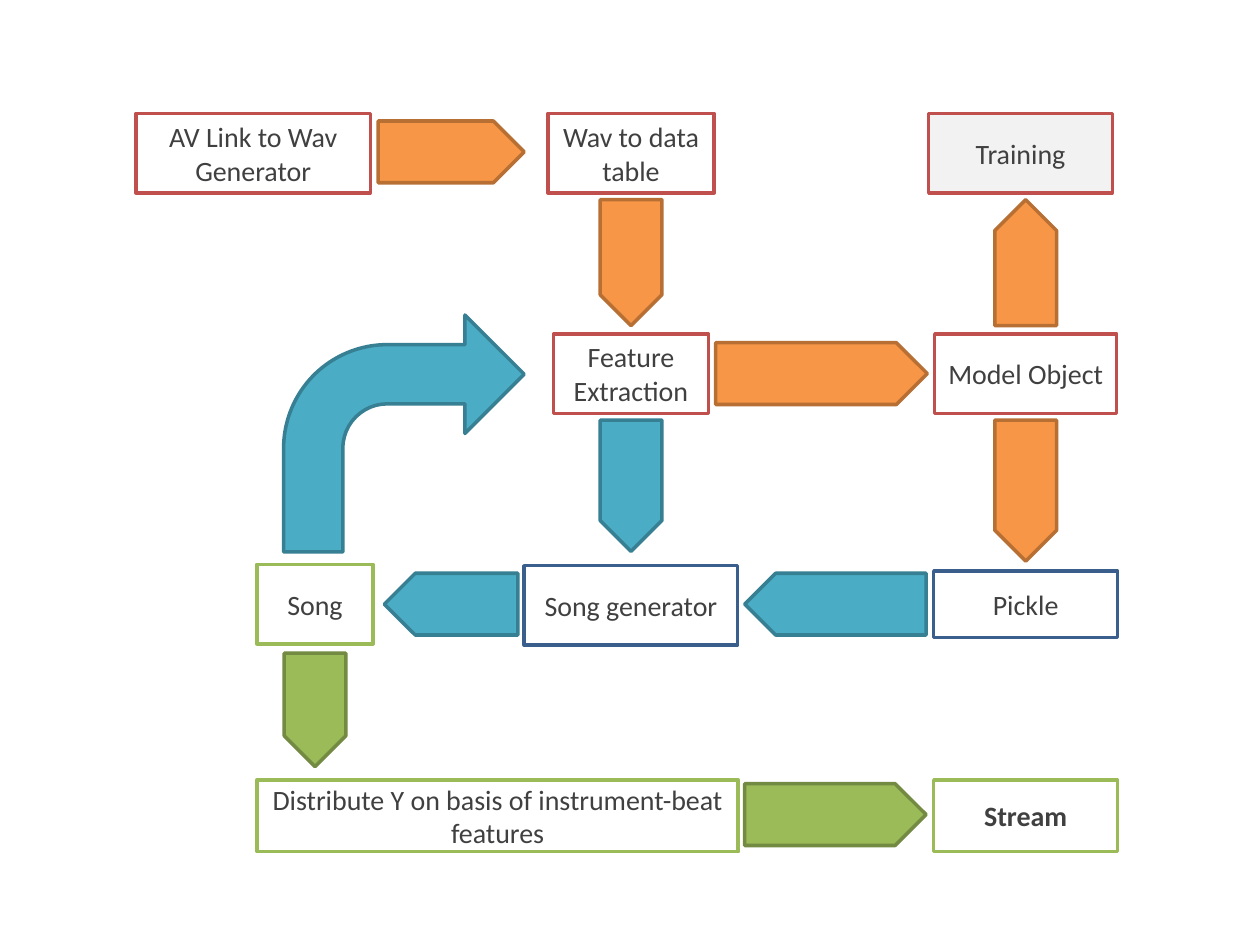
from pptx import Presentation
from pptx.dml.color import RGBColor
from pptx.enum.shapes import MSO_SHAPE
from pptx.enum.text import MSO_ANCHOR, PP_ALIGN
from pptx.util import Pt

RECTANGLE, PENTAGON, BENT_ARROW = MSO_SHAPE.RECTANGLE, MSO_SHAPE.PENTAGON, MSO_SHAPE.BENT_ARROW
MIDDLE, CENTER = MSO_ANCHOR.MIDDLE, PP_ALIGN.CENTER

WHITE = RGBColor(0xFF, 0xFF, 0xFF)
LIGHT_GRAY = RGBColor(0xF2, 0xF2, 0xF2)
DARK_GRAY = RGBColor(0x40, 0x40, 0x40)
RED = RGBColor(0xC0, 0x50, 0x4D)
NAVY = RGBColor(0x3A, 0x5F, 0x8C)
GREEN = RGBColor(0x9B, 0xBB, 0x59)
DARK_GREEN = RGBColor(0x73, 0x8A, 0x42)
ORANGE = RGBColor(0xF7, 0x96, 0x46)
DARK_ORANGE = RGBColor(0xB7, 0x6F, 0x34)
TEAL = RGBColor(0x4B, 0xAC, 0xC6)
DARK_TEAL = RGBColor(0x37, 0x7F, 0x92)

TRAIN = (ORANGE, DARK_ORANGE)
GENERATE = (TEAL, DARK_TEAL)
DELIVER = (GREEN, DARK_GREEN)

SONG_X, LEFT_GAP_X, MIDDLE_X, RIGHT_GAP_X, RIGHT_X = 180, 257.8, 360.6, 477.4, 586.1
INPUT_Y, FEATURE_Y, SONG_Y, STREAM_Y = 87.5, 213.5, 345.2, 466.2
UPPER_GAP_Y = 150.1
ARROW_THICKNESS = 35.3
RIGHT, DOWN, LEFT, UP = 0, 90, 180, 270

# label, centre x, centre y, width, height, fill, outline, bold
BOXES = [
    ("AV Link to Wav Generator", 144.7, INPUT_Y, 134, 45.4, WHITE, RED, False),
    ("Wav to data table", MIDDLE_X, INPUT_Y, 95, 45.4, WHITE, RED, False),
    ("Training", 583.2, INPUT_Y, 105, 45.4, LIGHT_GRAY, RED, False),
    ("Feature Extraction", MIDDLE_X, FEATURE_Y, 88.5, 45.4, WHITE, RED, False),
    ("Model Object", RIGHT_X, FEATURE_Y, 104, 45.4, WHITE, RED, False),
    ("Song", SONG_X, SONG_Y, 66.5, 45.4, WHITE, GREEN, False),
    ("Song generator", MIDDLE_X, 346, 122, 45.4, WHITE, NAVY, False),
    ("Pickle", RIGHT_X, SONG_Y, 105, 38, WHITE, NAVY, False),
    ("Distribute Y on basis of instrument-beat features",
     284.4, STREAM_Y, 275, 41, WHITE, GREEN, False),
    ("Stream", RIGHT_X, STREAM_Y, 105, 41, WHITE, GREEN, True),
]

ARROWS = [
    (LEFT_GAP_X, 86.8, 83.5, RIGHT, TRAIN),
    (MIDDLE_X, UPPER_GAP_Y, 72, DOWN, TRAIN),
    (469.4, FEATURE_Y, 121, RIGHT, TRAIN),
    (RIGHT_X, UPPER_GAP_Y, 72, UP, TRAIN),
    (RIGHT_X, 280.4, 80.6, DOWN, TRAIN),
    (RIGHT_GAP_X, SONG_Y, 103.7, LEFT, GENERATE),
    (MIDDLE_X, 277.6, 75, DOWN, GENERATE),
    (LEFT_GAP_X, SONG_Y, 76.3, LEFT, GENERATE),
    (SONG_X, 405.7, 64.8, DOWN, DELIVER),
    (RIGHT_GAP_X, 465.5, 103.7, RIGHT, DELIVER),
]


def add_centred(slide, kind, x, y, width, height, fill, outline):
    """Add a filled, outlined shape around a centre point."""
    shape = slide.shapes.add_shape(
        kind, Pt(x - width / 2), Pt(y - height / 2), Pt(width), Pt(height))
    shape.shadow.inherit = False
    shape.fill.solid()
    shape.fill.fore_color.rgb = fill
    shape.line.color.rgb = outline
    shape.line.width = Pt(2)
    return shape


def add_label(shape, text, bold):
    """Write a centred label inside a box."""
    frame = shape.text_frame
    frame.word_wrap = True
    frame.vertical_anchor = MIDDLE
    paragraph = frame.paragraphs[0]
    paragraph.alignment = CENTER
    run = paragraph.add_run()
    run.text = text
    for name, value in {"name": "Calibri", "size": Pt(16), "bold": bold}.items():
        setattr(run.font, name, value)
    run.font.color.rgb = DARK_GRAY


presentation = Presentation()
presentation.slide_width, presentation.slide_height = Pt(720), Pt(540)
slide = presentation.slides.add_slide(presentation.slide_layouts[6])

for label, x, y, width, height, fill, outline, bold in BOXES:
    add_label(add_centred(slide, RECTANGLE, x, y, width, height, fill, outline), label, bold)

for x, y, length, direction, colors in ARROWS:
    arrow = add_centred(slide, PENTAGON, x, y, length, ARROW_THICKNESS, *colors)
    arrow.rotation = direction

add_centred(slide, BENT_ARROW, 230.8, 247.7, 137.5, 135.4, *GENERATE)

presentation.save("out.pptx")
